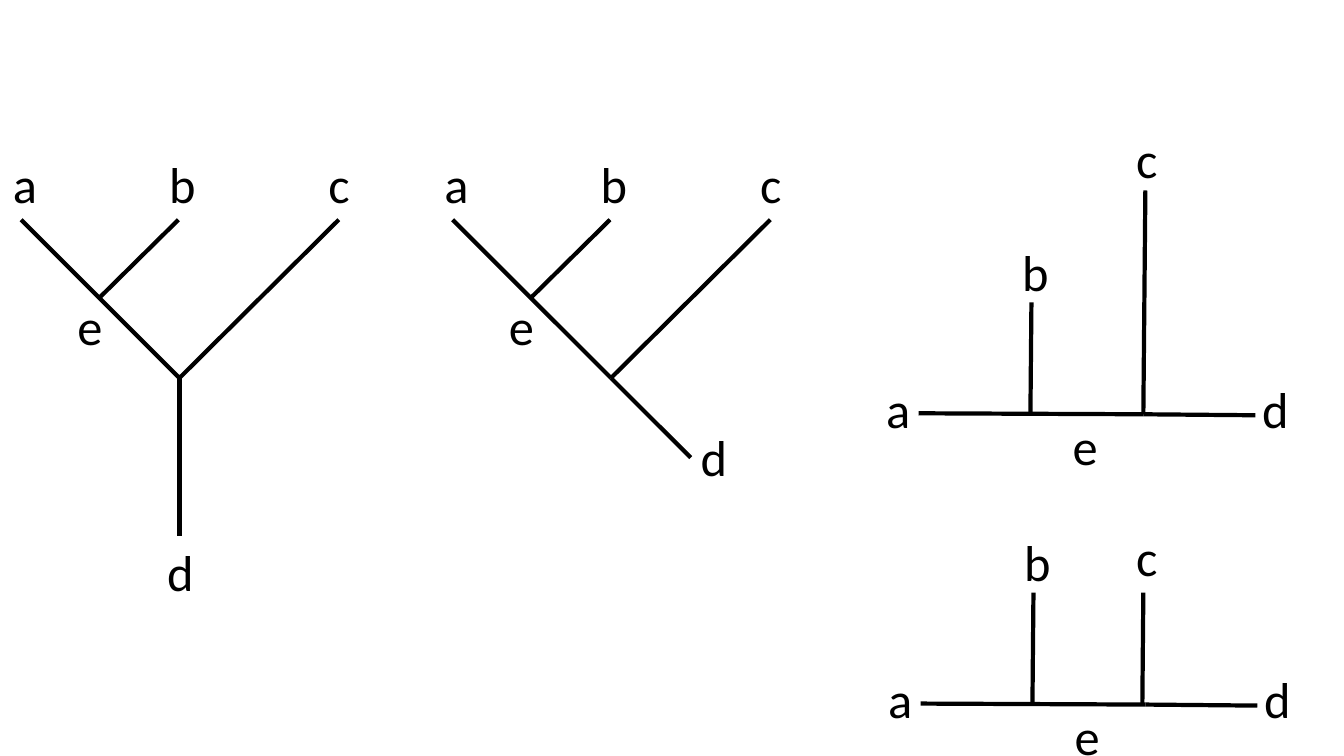
from dataclasses import dataclass

from lxml.etree import SubElement
from pptx import Presentation
from pptx.dml.color import RGBColor
from pptx.enum.shapes import MSO_CONNECTOR
from pptx.enum.text import MSO_AUTO_SIZE
from pptx.oxml.ns import qn
from pptx.slide import Slide
from pptx.util import Emu, Pt

EMU_PER_PX = 9144
INK = "000000"
LABEL_WIDTH, LABEL_HEIGHT = 63, 71
FRAME_FORMAT = {"word_wrap": True, "auto_size": MSO_AUTO_SIZE.SHAPE_TO_FIT_TEXT}
FONT_FORMAT = {"name": "Calibri", "size": Pt(36)}


@dataclass(frozen=True)
class Branch:
    start_x: int
    start_y: int
    end_x: int
    end_y: int


@dataclass(frozen=True)
class Label:
    text: str
    left: int
    top: int


@dataclass(frozen=True)
class Tree:
    left: int
    top: int
    branches: list[Branch]
    labels: list[Label]


SLANTED_BRANCHES = [
    Branch(0, 0, 157, 157),
    Branch(157, 157, 315, 0),
    Branch(156, 0, 77, 78),
]
SLANTED_LABELS = [
    Label("a", -18, -71),
    Label("b", 137, -71),
    Label("c", 295, -71),
    Label("e", 46, 70),
]
FLAT_BRANCHES = [
    Branch(0, 0, 223, 1),
    Branch(223, 1, 334, 2),
    Branch(112, -110, 111, 2),
]
FLAT_LABELS = [
    Label("a", -42, -40),
    Label("b", 93, -176),
    Label("d", 331, -40),
    Label("e", 143, -3),
]

TREES = [
    Tree(21, 218, SLANTED_BRANCHES + [Branch(157, 157, 157, 314)],
         SLANTED_LABELS + [Label("d", 135, 314)]),
    Tree(449, 218, SLANTED_BRANCHES + [Branch(157, 157, 236, 236)],
         SLANTED_LABELS + [Label("d", 236, 200)]),
    Tree(911, 410, FLAT_BRANCHES + [Branch(223, 1, 225, -221)],
         FLAT_LABELS + [Label("c", 206, -288)]),
    Tree(913, 698, FLAT_BRANCHES + [Branch(220, 1, 221, -110)],
         FLAT_LABELS + [Label("c", 204, -181)]),
]


def px(length: int) -> Emu:
    return Emu(length * EMU_PER_PX)


def color(value: str) -> RGBColor:
    return RGBColor.from_string(value)


def set_format(target: object, values: dict[str, object]) -> None:
    for name, value in values.items():
        setattr(target, name, value)


def draw_branch(slide: Slide, tree: Tree, branch: Branch) -> None:
    connector = slide.shapes.add_connector(
        MSO_CONNECTOR.STRAIGHT,
        px(tree.left + branch.start_x), px(tree.top + branch.start_y),
        px(tree.left + branch.end_x), px(tree.top + branch.end_y),
    )
    connector.line.width = Pt(3)
    connector.line.color.rgb = color(INK)
    SubElement(connector._element.spPr, qn("a:effectLst"))


def draw_label(slide: Slide, tree: Tree, label: Label) -> None:
    shape = slide.shapes.add_textbox(
        px(tree.left + label.left), px(tree.top + label.top),
        px(LABEL_WIDTH), px(LABEL_HEIGHT),
    )
    set_format(shape.text_frame, FRAME_FORMAT)
    run = shape.text_frame.paragraphs[0].add_run()
    run.text = label.text
    set_format(run.font, FONT_FORMAT)
    run.font.color.rgb = color(INK)


def draw_tree(slide: Slide, tree: Tree) -> None:
    for branch in tree.branches:
        draw_branch(slide, tree, branch)
    for label in tree.labels:
        draw_label(slide, tree, label)


def main() -> None:
    presentation = Presentation()
    set_format(presentation, {"slide_width": px(1333), "slide_height": px(750)})
    slide = presentation.slides.add_slide(presentation.slide_layouts[6])
    for tree in TREES:
        draw_tree(slide, tree)
    presentation.save("out.pptx")


if __name__ == "__main__":
    main()
